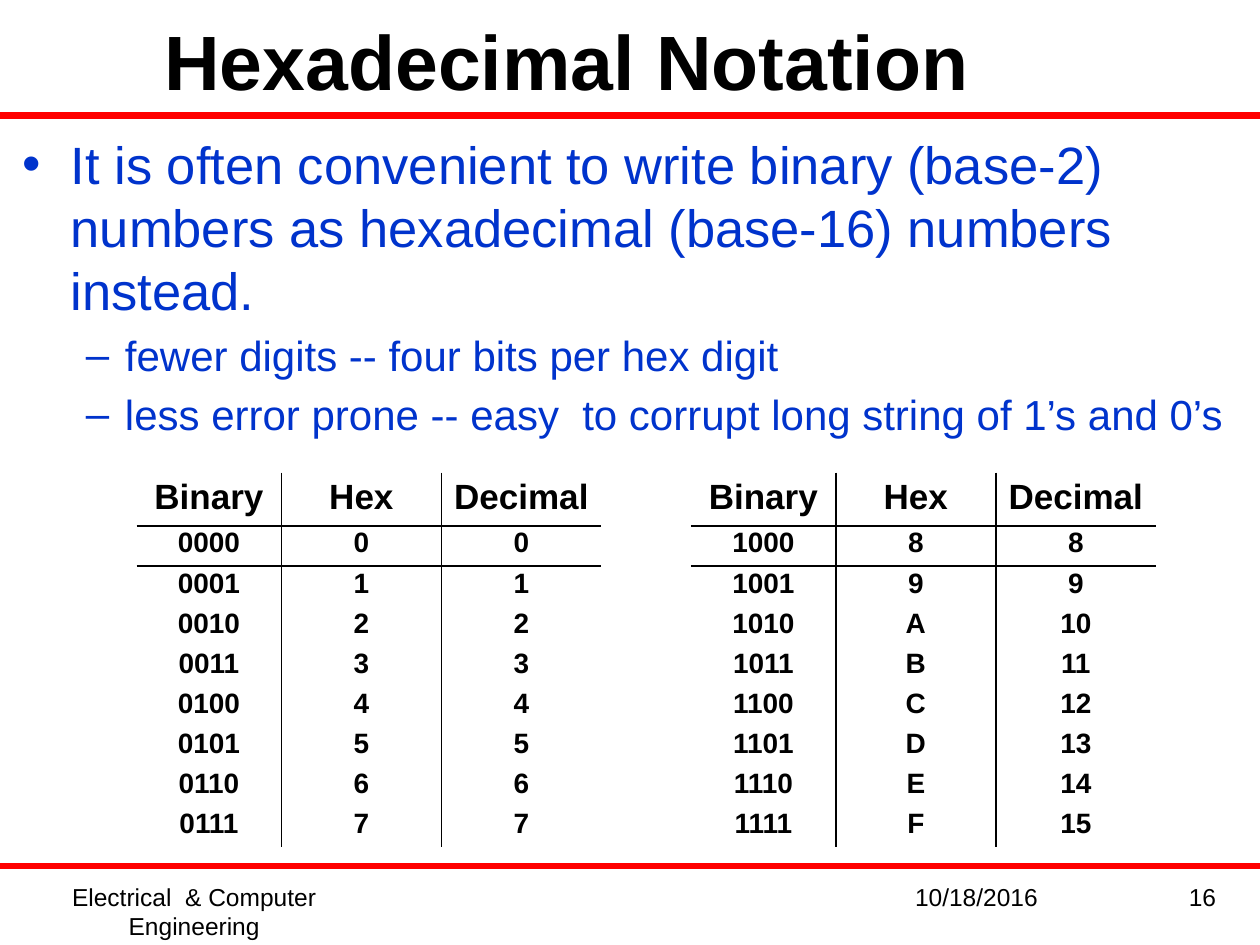
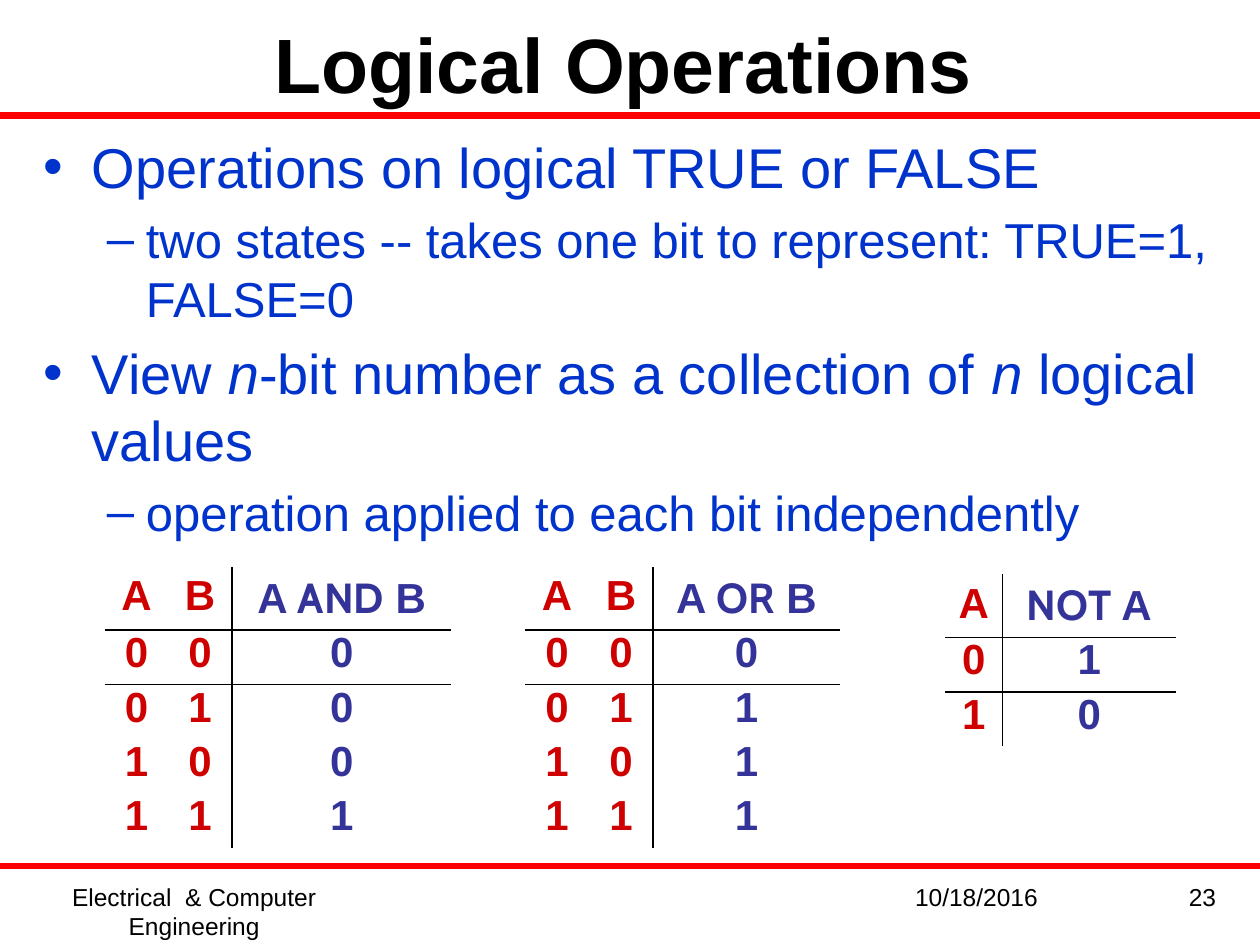
import itertools

import lxml.etree
import pptx
import pptx.dml.color
import pptx.enum.shapes
import pptx.enum.text
import pptx.oxml.ns
import pptx.util

RED = pptx.dml.color.RGBColor(0xFF, 0x00, 0x00)
BLACK = pptx.dml.color.RGBColor(0x00, 0x00, 0x00)
BODY_BLUE = pptx.dml.color.RGBColor(0x00, 0x33, 0xCC)
INPUT_RED = pptx.dml.color.RGBColor(0xCE, 0x00, 0x00)
OUTPUT_BLUE = pptx.dml.color.RGBColor(0x33, 0x33, 0x99)

FONT = "Arial"
OPERATOR_FONT = "Cabin"
NO_TABLE_STYLE = "{2D5ABB26-0587-4C30-8999-92F81FD0307C}"
ALIGN = pptx.enum.text.PP_ALIGN
ANCHOR = pptx.enum.text.MSO_ANCHOR

GRID_COLUMNS, GRID_ROWS = 120, 90
RULE_ROWS = (11, 82.5)
FOOTER_ROW, FOOTER_HEIGHT = 83.4, 6.2
# Bullet, left indent and hanging indent (inches) for each outline level
LEVELS = (("•", 0.38, -0.38), ("–", 0.81, -0.31))


def grid(cells):
    """Length of a number of grid cells; the 120 x 90 cells are square."""
    return round(pptx.util.Inches(10) * cells / GRID_COLUMNS)


def add_run(paragraph, text, size, color, bold=False, italic=False, font=FONT):
    run = paragraph.add_run()
    run.text = text
    run.font.name = font
    run.font.size = pptx.util.Pt(size)
    run.font.color.rgb = color
    run.font.bold = bold
    run.font.italic = italic


def add_text_box(slide, left, top, width, height):
    shape = slide.shapes.add_textbox(*map(grid, (left, top, width, height)))
    shape.text_frame.word_wrap = True
    return shape.text_frame


def add_title(slide, text, left, top):
    frame = add_text_box(slide, left, top, 108, 7.4)
    frame.vertical_anchor = ANCHOR.MIDDLE
    paragraph = frame.paragraphs[0]
    paragraph.alignment = ALIGN.CENTER
    add_run(paragraph, text, 44, BLACK, bold=True)


def add_rule(slide, row):
    line = slide.shapes.add_connector(
        pptx.enum.shapes.MSO_CONNECTOR.STRAIGHT,
        0, grid(row), grid(GRID_COLUMNS), grid(row))
    line.line.color.rgb = RED
    line.line.width = pptx.util.Pt(3.5)
    properties = line._element.spPr
    lxml.etree.SubElement(properties, pptx.oxml.ns.qn("a:effectLst"))


def add_footer(slide, number):
    footers = (
        ("10/18/2016", 79, 28, ALIGN.CENTER),
        (str(number), 110, 7, ALIGN.RIGHT),
        ("Electrical  & Computer Engineering", 3, 31, ALIGN.CENTER),
    )
    for text, left, width, alignment in footers:
        frame = add_text_box(slide, left, FOOTER_ROW, width, FOOTER_HEIGHT)
        paragraph = frame.paragraphs[0]
        paragraph.alignment = alignment
        add_run(paragraph, text, 14, BLACK)


def add_slide(presentation, title, title_left, title_top, number):
    slide = presentation.slides.add_slide(presentation.slide_layouts[6])
    for row in RULE_ROWS:
        add_rule(slide, row)
    add_title(slide, title, title_left, title_top)
    add_footer(slide, number)
    return slide


def set_bullet(paragraph, level):
    character, indent, hanging = LEVELS[level]
    paragraph.level = level
    properties = paragraph._p.get_or_add_pPr()
    properties.set("marL", str(pptx.util.Inches(indent)))
    properties.set("indent", str(pptx.util.Inches(hanging)))
    font = lxml.etree.SubElement(properties, pptx.oxml.ns.qn("a:buFont"))
    font.set("typeface", FONT)
    bullet = lxml.etree.SubElement(properties, pptx.oxml.ns.qn("a:buChar"))
    bullet.set("char", character)


def add_outline(slide, left, width, sizes, items):
    """Bulleted text; items are (level, texts), every second text italic."""
    frame = add_text_box(slide, left, 12, width, 59.4)
    for index, (level, texts) in enumerate(items):
        paragraph = frame.add_paragraph() if index else frame.paragraphs[0]
        paragraph.space_before = pptx.util.Pt(sizes[level] * 0.2)
        set_bullet(paragraph, level)
        for position, text in enumerate(texts):
            add_run(paragraph, text, sizes[level], BODY_BLUE,
                    italic=position % 2 == 1)


def set_borders(cell, sides):
    """Draw thin black borders; sides is a string of letters in L R T B order."""
    properties = cell._tc.get_or_add_tcPr()
    for position, side in enumerate(sides):
        line = lxml.etree.Element(pptx.oxml.ns.qn("a:ln" + side))
        line.set("w", str(pptx.util.Pt(1)))
        fill = lxml.etree.SubElement(line, pptx.oxml.ns.qn("a:solidFill"))
        color = lxml.etree.SubElement(fill, pptx.oxml.ns.qn("a:srgbClr"))
        color.set("val", str(BLACK))
        properties.insert(position, line)


def fill_cell(cell, content, size, color, is_header):
    """Write content: a text, or a list of (text, font) pairs."""
    cell.fill.background()
    cell.margin_top = cell.margin_bottom = pptx.util.Pt(3.3)
    paragraph = cell.text_frame.paragraphs[0]
    paragraph.alignment = ALIGN.CENTER
    paragraph.space_before = pptx.util.Pt(size * 0.2)
    if not is_header:
        paragraph.line_spacing = 0.85
    texts = [(content, FONT)] if isinstance(content, str) else content
    for text, font in texts:
        add_run(paragraph, text, size, color, bold=True, font=font)


def add_ruled_table(slide, left, top, widths, heights, rows, sizes, colors,
                    ruled_columns):
    """Table with a line under its header and one right of each ruled column.

    heights and sizes hold the header value, then the value for other rows.
    """
    total_height = heights[0] + heights[1] * (len(rows) - 1)
    frame = slide.shapes.add_table(
        len(rows), len(widths), grid(left), grid(top),
        grid(sum(widths)), grid(total_height))
    table = frame.table
    table.first_row = table.horz_banding = False
    style = table._tbl.tblPr.find(pptx.oxml.ns.qn("a:tableStyleId"))
    style.text = NO_TABLE_STYLE
    for column, width in zip(table.columns, widths):
        column.width = grid(width)
    for r, contents in enumerate(rows):
        kind = min(r, 1)
        table.rows[r].height = grid(heights[kind])
        for c, content in enumerate(contents):
            cell = table.cell(r, c)
            fill_cell(cell, content, sizes[kind], colors[c], r == 0)
            set_borders(cell, "".join((
                "L" if c - 1 in ruled_columns else "",
                "R" if c in ruled_columns else "",
                "T" if r == 1 else "",
                "B" if r == 0 else "")))


def add_hex_table(slide, left, numbers):
    rows = [("Binary", "Hex", "Decimal")]
    rows += [(f"{n:04b}", f"{n:X}", str(n)) for n in numbers]
    add_ruled_table(slide, left, 45, (13.8, 15.24, 15.24), (4.77, 3.73), rows,
                    (20, 16), (BLACK,) * 3, (0, 1))


def add_truth_table(slide, left, top, widths, result_header, operation):
    """Truth table of an operation whose inputs are all columns but the last."""
    input_count = len(widths) - 1
    rows = [(*"AB"[:input_count], result_header)]
    for bits in itertools.product((0, 1), repeat=input_count):
        rows.append([str(bit) for bit in (*bits, operation(*bits))])
    colors = [INPUT_RED] * input_count + [OUTPUT_BLUE]
    add_ruled_table(slide, left, top, widths, (6, 4.98), rows, (24, 24),
                    colors, (input_count - 1,))


def build_hexadecimal_slide(presentation):
    slide = add_slide(presentation, "Hexadecimal Notation", 0, 2, 16)
    add_outline(slide, 1, 118, (30, 24), (
        (0, ["It is often convenient to write binary (base-2) numbers as "
             "hexadecimal (base-16) numbers instead."]),
        (1, ["fewer digits -- four bits per hex digit"]),
        (1, ["less error prone -- easy  to corrupt long string of "
             "1’s and 0’s"]),
    ))
    add_hex_table(slide, 13, range(8))
    add_hex_table(slide, 65.8, range(8, 16))


def build_logic_slide(presentation):
    slide = add_slide(presentation, "Logical Operations", 5.4, 2.3, 23)
    add_outline(slide, 3, 115, (32, 28), (
        (0, ["Operations on logical TRUE or FALSE"]),
        (1, ["two states -- takes one bit to represent: TRUE=1, FALSE=0"]),
        (0, ["View ", "n", "-bit number as a collection of ", "n",
             " logical values"]),
        (1, ["operation applied to each bit independently"]),
    ))
    add_truth_table(slide, 10, 54, (6, 6.1, 20.9),
                    [("A ", FONT), ("AND", OPERATOR_FONT), (" B", FONT)],
                    lambda a, b: a & b)
    add_truth_table(slide, 50, 54, (6.1, 6.1, 17.8),
                    [("A ", FONT), ("OR", OPERATOR_FONT), (" B", FONT)],
                    lambda a, b: a | b)
    add_truth_table(slide, 90, 54.7, (5.5, 16.5),
                    [("NOT", OPERATOR_FONT), (" A", FONT)],
                    lambda a: 1 - a)


def main():
    presentation = pptx.Presentation()
    presentation.slide_width = grid(GRID_COLUMNS)
    presentation.slide_height = grid(GRID_ROWS)
    build_hexadecimal_slide(presentation)
    build_logic_slide(presentation)
    presentation.save("out.pptx")


if __name__ == "__main__":
    main()
